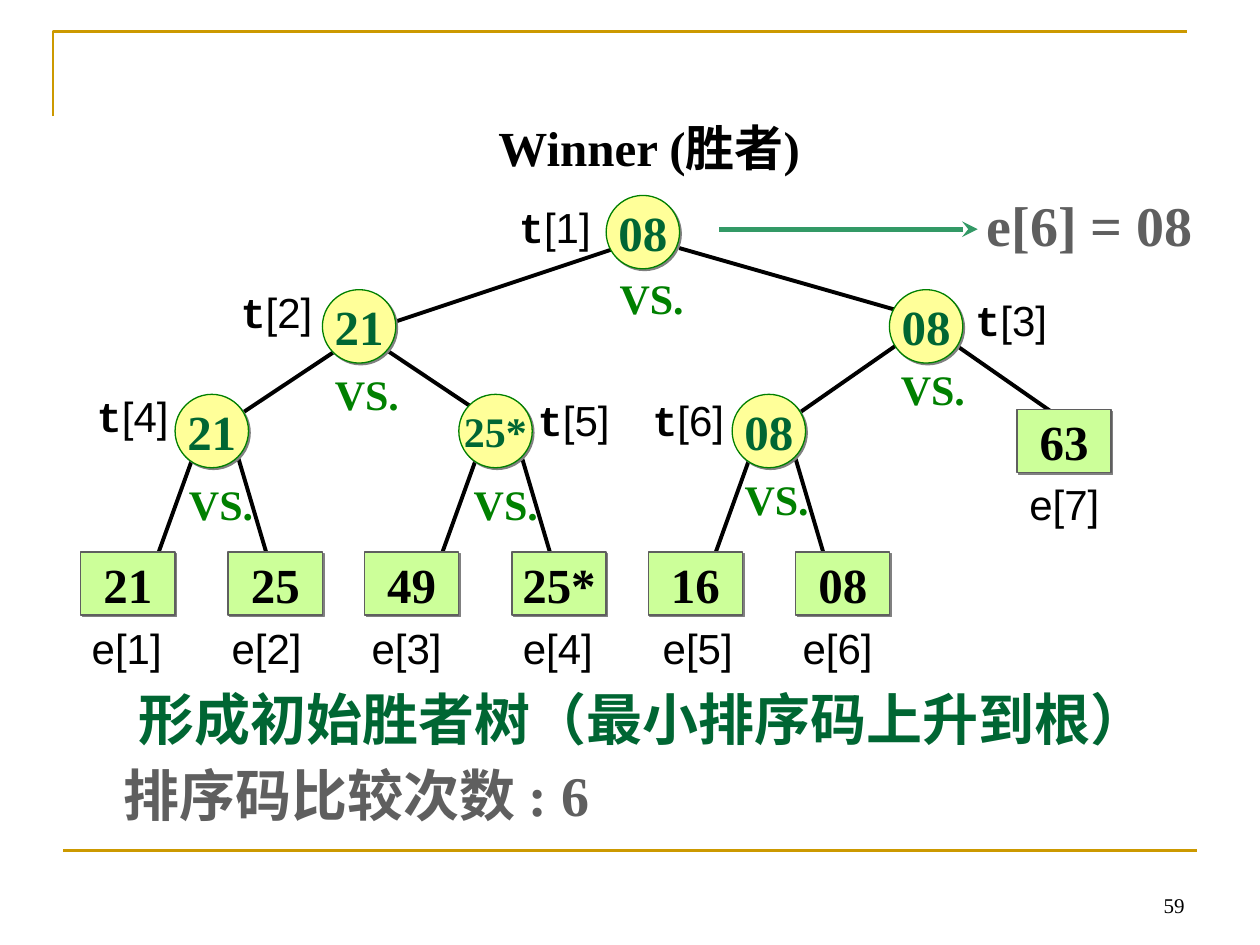
from lxml import etree
from pptx import Presentation
from pptx.dml.color import RGBColor
from pptx.enum.shapes import MSO_CONNECTOR, MSO_SHAPE
from pptx.enum.text import MSO_ANCHOR, PP_ALIGN
from pptx.oxml.ns import qn
from pptx.util import Cm, Pt

STRAIGHT = MSO_CONNECTOR.STRAIGHT
OVAL, RECTANGLE = MSO_SHAPE.OVAL, MSO_SHAPE.RECTANGLE
TOP, MIDDLE, BOTTOM = MSO_ANCHOR.TOP, MSO_ANCHOR.MIDDLE, MSO_ANCHOR.BOTTOM
LEFT, CENTER, RIGHT = PP_ALIGN.LEFT, PP_ALIGN.CENTER, PP_ALIGN.RIGHT
SERIF, SANS, MONO = "Times New Roman", "Arial", "Courier New"

COLORS = {
    "gold": "CC9900", "black": "000000", "gray": "5F5F5F", "shadow": "808080",
    "circle": "FFFF99", "leaf": "CCFF99", "green": "008000",
    "dark_green": "006633", "arrow": "339966",
}
COLORS_RGB = {name: RGBColor.from_string(value) for name, value in COLORS.items()}

prs = Presentation()
prs.slide_width, prs.slide_height = Cm(25.4), Cm(19.05)
slide = prs.slides.add_slide(prs.slide_layouts[6])
shapes = slide.shapes


def add_text(x, y, w, h, runs, size, color="black", align=LEFT, anchor=TOP):
    """Add a one-line text box; runs are (text, font, bold)."""
    box = shapes.add_textbox(Cm(x), Cm(y), Cm(w), Cm(h))
    frame = box.text_frame
    frame.word_wrap = True
    frame.vertical_anchor = anchor
    paragraph = frame.paragraphs[0]
    paragraph.alignment = align
    for text, font, bold in runs:
        run = paragraph.add_run()
        run.text = text
        run.font.name, run.font.size, run.font.bold = font, Pt(size), bold
        run.font.color.rgb = COLORS_RGB[color]


def add_line(x1, y1, x2, y2, color, width):
    line = shapes.add_connector(STRAIGHT, Cm(x1), Cm(y1), Cm(x2), Cm(y2))
    line.line.color.rgb = COLORS_RGB[color]
    line.line.width = Pt(width)
    etree.SubElement(line._element.spPr, qn("a:effectLst"))
    return line


# Page frame and number
builder = shapes.build_freeform(Cm(1.07), Cm(2.34))
builder.add_line_segments([(Cm(1.07), Cm(0.64)), (Cm(23.93), Cm(0.64))], close=False)
corner = builder.convert_to_shape()
corner.fill.background()
corner.line.color.rgb = COLORS_RGB["gold"]
corner.line.width = Pt(1.5)
corner.shadow.inherit = False
add_line(1.27, 17.15, 24.13, 17.15, "gold", 1.5)
add_text(18.21, 17.35, 5.92, 1.27, [("59", SERIF, False)], 12, align=RIGHT, anchor=BOTTOM)

# Matches: key, size, circle position, label position, "VS." position
matches = [
    ("08", 28, (12.22, 3.94), (10.21, 3.94), (12.24, 5.28)),
    ("21", 28, (6.5, 5.84), (4.6, 5.66), (6.5, 7.21)),
    ("08", 28, (17.93, 5.84), (19.41, 5.82), (17.91, 7.11)),
    ("21", 28, (3.53, 7.95), (1.7, 7.75), (3.56, 9.42)),
    ("25*", 24, (9.25, 7.95), (10.59, 7.82), (9.3, 9.42)),
    ("08", 28, (14.76, 7.95), (12.9, 7.82), (14.76, 9.32)),
]

# Tree edges, upper levels and then each lowest match to its two leaves
edges = [
    (13.69, 5, 18.14, 6.27), (7.98, 6.48, 12.42, 5),
    (18.14, 6.91, 16.03, 8.38), (7.57, 6.91, 9.47, 8.18),
    (19.2, 6.91, 21.31, 8.38), (6.71, 7.11, 4.8, 8.38),
]
for _, _, (x, _), _, _ in matches[3:]:
    edges.append((x + 0.43, 9.02, x - 0.41, 11.35))
    edges.append((x + 1.27, 9.22, x + 1.9, 11.35))
for edge in edges:
    add_line(*edge, "black", 2.25)

# Nodes: match circles and player leaves
nodes = [(OVAL, key, size, x, y, 1.48, 1.48, "circle", "green", "dark_green")
         for key, size, (x, y), _, _ in matches]
players = ["21", "25", "49", "25*", "16", "08", "63"]
for i, key in enumerate(players):
    x, y = (1.63 + 5.72 * (i // 2) + 2.97 * (i % 2), 11.13) if i < 6 else (20.5, 8.26)
    nodes.append((RECTANGLE, key, 28, x, y, 1.9, 1.27, "leaf", "gray", "black"))

for kind, key, size, x, y, w, h, fill, outline, ink in nodes:
    node = shapes.add_shape(kind, Cm(x), Cm(y), Cm(w), Cm(h))
    node.fill.solid()
    node.fill.fore_color.rgb = COLORS_RGB[fill]
    node.line.color.rgb = COLORS_RGB[outline]
    node.line.width = Pt(0.75)
    node.shadow.inherit = False
    effects = node._element.spPr.find(qn("a:effectLst"))
    shadow = etree.SubElement(effects, qn("a:outerShdw"), dist=str(Pt(1.4)),
                              dir="2700000", algn="ctr", rotWithShape="0")
    etree.SubElement(shadow, qn("a:srgbClr"), val=COLORS["shadow"])
    frame = node.text_frame
    frame.text = key
    frame.word_wrap = False
    frame.vertical_anchor = MIDDLE
    paragraph = frame.paragraphs[0]
    paragraph.alignment = CENTER
    font = paragraph.runs[0].font
    font.name, font.size, font.bold = SERIF, Pt(size), True
    font.color.rgb = COLORS_RGB[ink]

# Labels of leaves and matches
for i in range(7):
    x, y = (1.6 + 2.82 * i + 0.23 * (i // 3), 12.42) if i < 6 else (20.5, 9.53)
    add_text(x, y, 2.11, 1.27, [(f"e[{i + 1}]", SANS, False)], 24)
for i, (_, _, _, label_at, versus_at) in enumerate(matches, 1):
    add_text(*label_at, 2.11, 1.27, [("t", MONO, True), (f"[{i}]", SANS, False)], 24)
    add_text(*versus_at, 2.03, 1.45, [("VS.", SERIF, True)], 24, "green", anchor=MIDDLE)

# Winner and result
add_text(9.8, 2.24, 7.5, 1.45, [("Winner (胜者)", SERIF, True)], 28)
result_arrow = add_line(14.5, 4.62, 19.71, 4.62, "arrow", 3)
etree.SubElement(result_arrow.line._get_or_add_ln(), qn("a:tailEnd"), type="stealth")
add_text(19.38, 3.71, 5.18, 1.63, [("e[6] = 08", SERIF, True)], 32, "gray", CENTER)

# Conclusions
add_text(2.54, 13.67, 21.6, 1.63,
         [("形成初始胜者树（最小排序码上升到根）", SERIF, True)], 32, "dark_green")
add_text(2.24, 15.21, 10.72, 1.63, [("排序码比较次数 : 6", SERIF, True)], 32, "gray")

prs.save("out.pptx")
